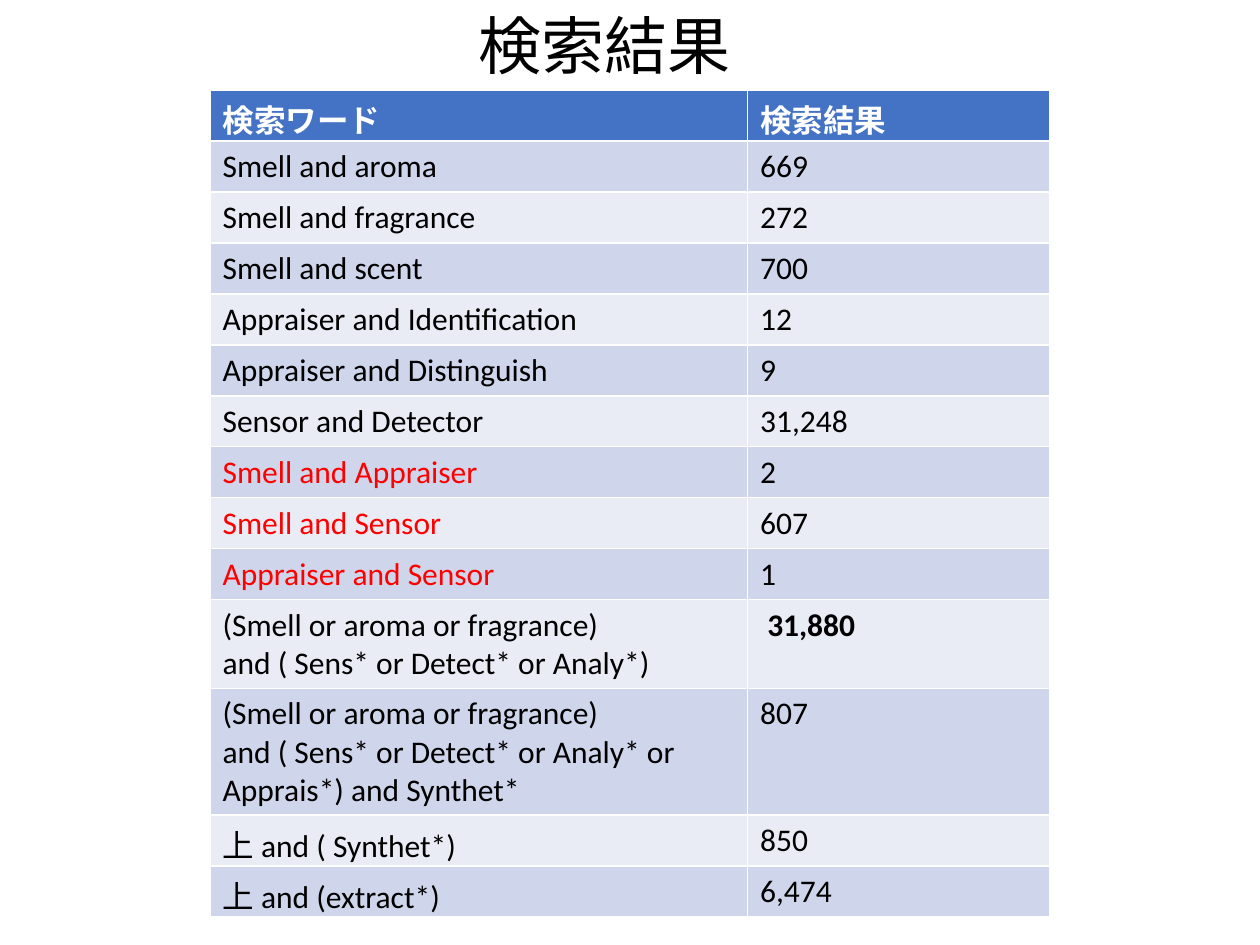
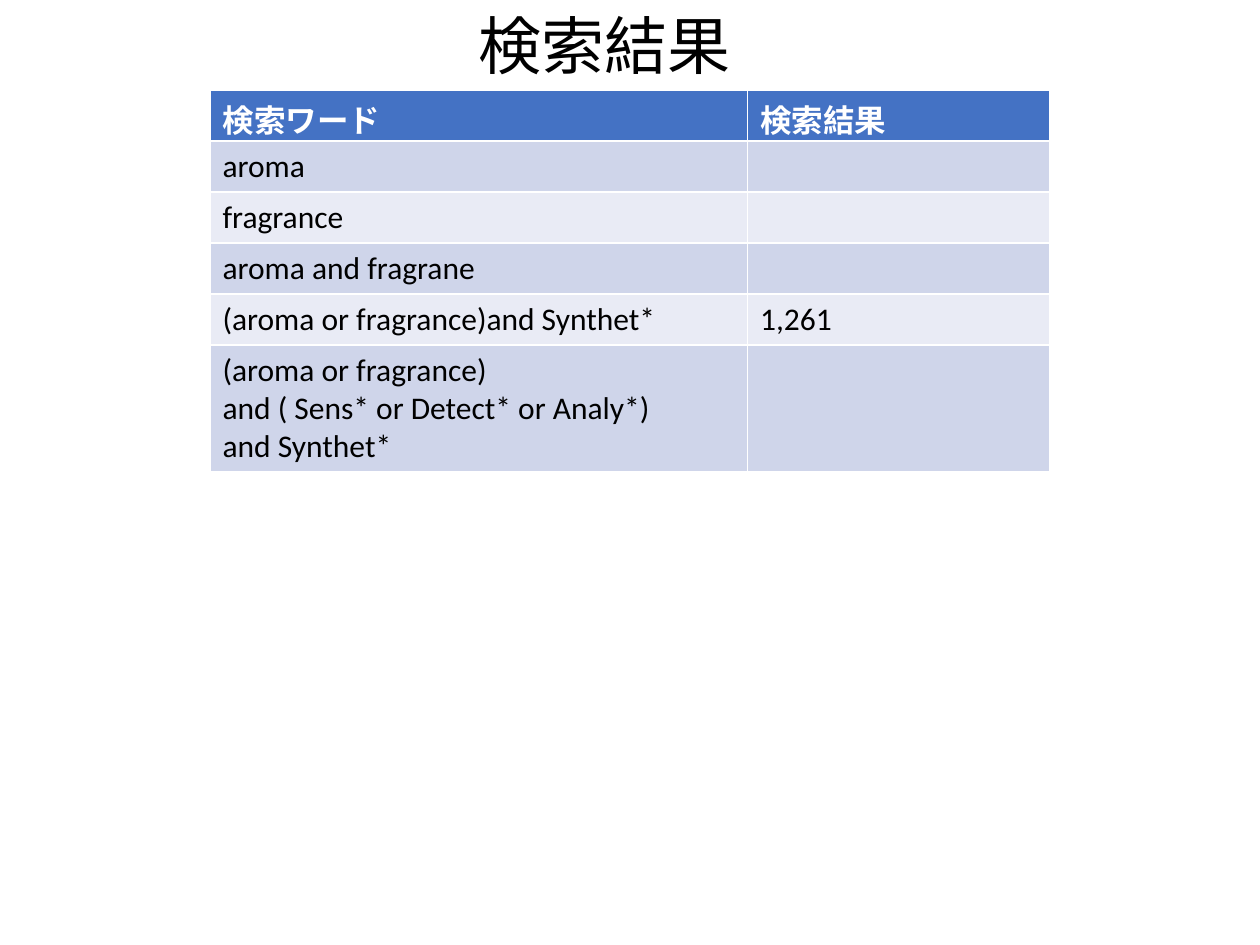
from pptx import Presentation
from pptx import util as u
from pptx.dml import color
from pptx.enum import text

WIDTH, HEIGHT = u.Inches(10), u.Inches(7.5)
FONT = "Calibri"
COLOURS = {
    "ink": "000000",
    "heading": "FFFFFF",
    "heading_band": "4472C4",
    "odd_band": "CFD5EA",
    "even_band": "E9EBF5",
    "highlight": "FF0000",
}
TITLE_BOX = (0.37, 0, 0.22, 0.095)
RESULTS_BOX = (1 / 6, 0.095, 2 / 3)
WORD_SHARE = 0.64
ROW_SHARE, EXTRA_LINE_SHARE = 0.054, 0.04

TITLE = "検索結果"
HEADINGS = ("検索ワード", "検索結果")
COMBINED_SEARCHES = [
    ("Smell and aroma", "669"),
    ("Smell and fragrance", "272"),
    ("Smell and scent", "700"),
    ("Appraiser and Identification", "12"),
    ("Appraiser and Distinguish", "9"),
    ("Sensor and Detector", "31,248"),
    ("Smell and Appraiser", "2"),
    ("Smell and Sensor", "607"),
    ("Appraiser and Sensor", "1"),
    ("(Smell or aroma or fragrance)\nand ( Sens* or Detect* or Analy*)", " 31,880"),
    ("(Smell or aroma or fragrance)\nand ( Sens* or Detect* or Analy* or\n"
     "Apprais*) and Synthet*", "807"),
    ("上 and ( Synthet*)", "850"),
    ("上 and (extract*)", "6,474"),
]
AROMA_SEARCHES = [
    ("aroma", ""),
    ("fragrance", ""),
    ("aroma and fragrane", ""),
    ("(aroma or fragrance)and Synthet*", "1,261"),
    ("(aroma or fragrance)\nand ( Sens* or Detect* or Analy*)\nand Synthet*", ""),
]
RED_WORDS = {"Smell and Appraiser", "Smell and Sensor", "Appraiser and Sensor"}
BOLD_COUNTS = {" 31,880"}


def rgb(name):
    """Return the named colour of the palette."""
    return color.RGBColor.from_string(COLOURS[name])


def write(frame, wording, size, ink="ink", bold=False):
    """Fill a text frame, one paragraph for each line."""
    frame.text = wording
    for paragraph in frame.paragraphs:
        paragraph.font.name = FONT
        paragraph.font.size = u.Pt(size)
        paragraph.font.bold = bold
        paragraph.font.color.rgb = rgb(ink)


def add_title(slide, box):
    """Place the slide title in a box given as shares of the slide."""
    left, top, width, height = box
    title = slide.shapes.add_textbox(
        int(left * WIDTH), int(top * HEIGHT), int(width * WIDTH), int(height * HEIGHT))
    title.text_frame.word_wrap = False
    title.text_frame.auto_size = text.MSO_AUTO_SIZE.SHAPE_TO_FIT_TEXT
    write(title.text_frame, TITLE, 36)


def fill_cell(cell, wording, band, ink="ink", bold=False):
    """Set the band colour and the wording of one cell."""
    cell.fill.solid()
    cell.fill.fore_color.rgb = rgb(band)
    write(cell.text_frame, wording, 18, ink, bold)


def add_results(slide, box, searches):
    """Place the table of search words and hit counts in its box."""
    left, top, width = box
    rows = [HEADINGS, *searches]
    heights = [int(HEIGHT * (ROW_SHARE + EXTRA_LINE_SHARE * words.count("\n")))
               for words, _ in rows]
    results = slide.shapes.add_table(
        len(rows), len(HEADINGS), int(left * WIDTH), int(top * HEIGHT),
        int(width * WIDTH), sum(heights)).table
    for column, share in zip(results.columns, (WORD_SHARE, 1 - WORD_SHARE)):
        column.width = int(width * WIDTH * share)
    for index, (words, count) in enumerate(rows):
        results.rows[index].height = heights[index]
        word_cell, count_cell = results.rows[index].cells
        if index == 0:
            fill_cell(word_cell, words, "heading_band", "heading", True)
            fill_cell(count_cell, count, "heading_band", "heading", True)
            continue
        band = "odd_band" if index % 2 else "even_band"
        fill_cell(word_cell, words, band, "highlight" if words in RED_WORDS else "ink")
        fill_cell(count_cell, count, band, bold=count in BOLD_COUNTS)


def add_results_slide(deck, searches):
    """Add one slide with the shared title and a table of searches."""
    slide = deck.slides.add_slide(deck.slide_layouts[6])
    add_title(slide, TITLE_BOX)
    add_results(slide, RESULTS_BOX, searches)


def main():
    """Build and save the deck."""
    deck = Presentation()
    deck.slide_width, deck.slide_height = WIDTH, HEIGHT
    for searches in (COMBINED_SEARCHES, AROMA_SEARCHES):
        add_results_slide(deck, searches)
    deck.save("out.pptx")


if __name__ == "__main__":
    main()
